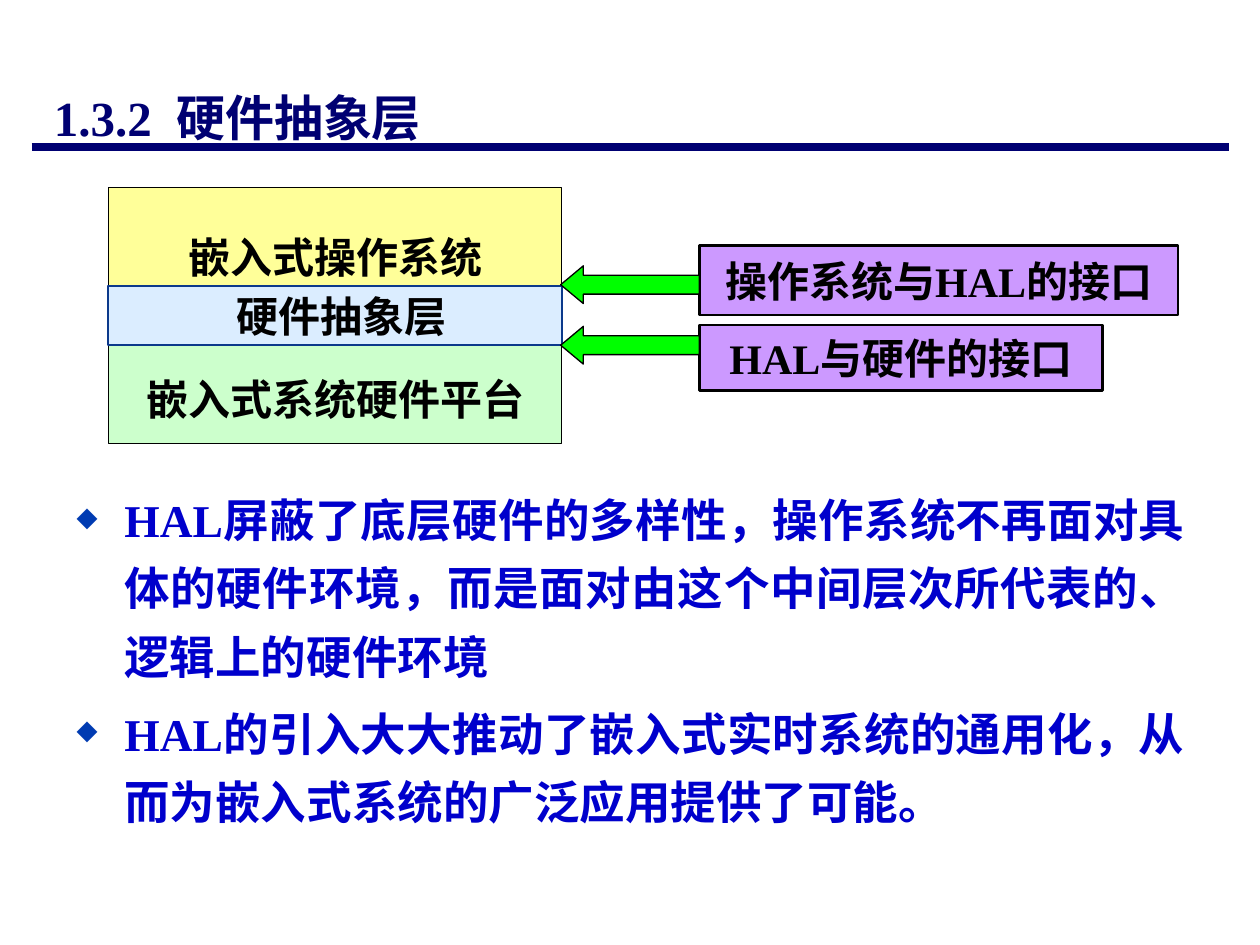
from dataclasses import dataclass

from lxml.etree import SubElement
from pptx import Presentation
from pptx.dml.color import RGBColor
from pptx.enum.shapes import MSO_CONNECTOR, MSO_SHAPE
from pptx.enum.text import MSO_ANCHOR, PP_ALIGN
from pptx.oxml.ns import qn
from pptx.util import Inches, Pt


@dataclass(frozen=True)
class Theme:
    font: str = "Times New Roman"
    title_size: int = 28
    body_size: int = 26
    label_size: int = 24
    navy: str = "000072"
    body: str = "0000CC"
    bullet: str = "003BB2"
    black: str = "000000"
    system: str = "FFFF99"
    abstraction: str = "DBEDFF"
    abstraction_line: str = "0B398B"
    hardware: str = "CCFFCC"
    interface: str = "CC99FF"
    arrow: str = "00FF00"


THEME = Theme()
CELL = Inches(0.1)
COLUMNS, ROWS = 100, 75
STACK_LEFT, STACK_WIDTH = 8.6, 36
ARROW_LEFT, ARROW_WIDTH, ARROW_HEIGHT = 44.5, 11, 3
INTERFACE_LEFT = ARROW_LEFT + ARROW_WIDTH


def grid(*cells):
    return [int(cell * CELL) for cell in cells]


def color(value):
    return RGBColor.from_string(value)


def add_run(paragraph, text, size, tone):
    run = paragraph.add_run()
    run.text = text
    run.font.name = THEME.font
    run.font.size = Pt(size)
    run.font.bold = True
    run.font.color.rgb = color(tone)


def add_figure(slide, kind, area, fill, line=THEME.black, weight=0.75):
    shape = slide.shapes.add_shape(kind, *grid(*area))
    shape.shadow.inherit = False
    shape.fill.solid()
    shape.fill.fore_color.rgb = color(fill)
    shape.line.color.rgb = color(line)
    shape.line.width = Pt(weight)
    return shape


def add_box(slide, area, text, fill, line=THEME.black, weight=0.75, left=0, top=0):
    shape = add_figure(slide, MSO_SHAPE.RECTANGLE, area, fill, line, weight)
    frame = shape.text_frame
    frame.margin_left, frame.margin_top = grid(left, top)
    frame.margin_right = frame.margin_bottom = 0
    frame.vertical_anchor = MSO_ANCHOR.MIDDLE
    paragraph = frame.paragraphs[0]
    paragraph.alignment = PP_ALIGN.CENTER
    add_run(paragraph, text, THEME.label_size, THEME.black)


def add_arrow(slide, middle):
    area = (ARROW_LEFT, middle - ARROW_HEIGHT / 2, ARROW_WIDTH, ARROW_HEIGHT)
    arrow = add_figure(slide, MSO_SHAPE.LEFT_ARROW, area, THEME.arrow)
    arrow.adjustments[0] = 0.5
    arrow.adjustments[1] = 0.6


def add_text_frame(slide, area):
    frame = slide.shapes.add_textbox(*grid(*area)).text_frame
    frame.word_wrap = True
    return frame


def add_title(slide, text):
    frame = add_text_frame(slide, (3.3, 4.7, 78.3, 9.2))
    frame.vertical_anchor = MSO_ANCHOR.MIDDLE
    add_run(frame.paragraphs[0], text, THEME.title_size, THEME.navy)


def add_title_rule(slide):
    ends = grid(2.5, 11.7, COLUMNS - 2.5, 11.7)
    rule = slide.shapes.add_connector(MSO_CONNECTOR.STRAIGHT, *ends)
    rule.line.color.rgb = color(THEME.navy)
    rule.line.width = Pt(4.5)
    SubElement(rule.element.spPr, qn("a:effectLst"))


def set_bullet(paragraph):
    properties = paragraph._p.get_or_add_pPr()
    indent = grid(3.8)[0]
    properties.set("marL", str(indent))
    properties.set("indent", str(-indent))
    tone = SubElement(properties, qn("a:buClr"))
    SubElement(tone, qn("a:srgbClr"), val=THEME.bullet)
    SubElement(properties, qn("a:buSzPct"), val="60000")
    SubElement(properties, qn("a:buChar"), char="◆")


def add_bullets(slide, texts):
    frame = add_text_frame(slide, (5.1, 37.5, 90, 29.7))
    for index, text in enumerate(texts):
        paragraph = frame.add_paragraph() if index else frame.paragraphs[0]
        set_bullet(paragraph)
        paragraph.alignment = PP_ALIGN.JUSTIFY
        paragraph.line_spacing = 1.25
        paragraph.space_before = Pt(5 if index else 0)
        add_run(paragraph, text, THEME.body_size, THEME.body)


def add_layers(slide):
    add_box(slide, (STACK_LEFT, 25, STACK_WIDTH, 10.2), "嵌入式系统硬件平台",
            THEME.hardware, top=3)
    add_box(slide, (STACK_LEFT, 14.9, STACK_WIDTH, 10.9), "嵌入式操作系统",
            THEME.system)
    add_box(slide, (STACK_LEFT, 22.7, STACK_WIDTH, 4.7), "硬件抽象层",
            THEME.abstraction, THEME.abstraction_line, 1.25, left=1)


def add_interfaces(slide):
    interfaces = [
        (19.5, 38, 5.5, "操作系统与HAL的接口", 22.6),
        (25.8, 32, 5.2, "HAL与硬件的接口", 27.4),
    ]
    for top, width, height, text, arrow_middle in interfaces:
        add_box(slide, (INTERFACE_LEFT, top, width, height), text,
                THEME.interface, weight=1.5)
        add_arrow(slide, arrow_middle)


def main():
    presentation = Presentation()
    presentation.slide_width, presentation.slide_height = grid(COLUMNS, ROWS)
    slide = presentation.slides.add_slide(presentation.slide_layouts[6])
    add_title_rule(slide)
    add_bullets(slide, [
        "HAL屏蔽了底层硬件的多样性，操作系统不再面对具体的硬件环境，"
        "而是面对由这个中间层次所代表的、逻辑上的硬件环境",
        "HAL的引入大大推动了嵌入式实时系统的通用化，"
        "从而为嵌入式系统的广泛应用提供了可能。",
    ])
    add_layers(slide)
    add_interfaces(slide)
    add_title(slide, "1.3.2  硬件抽象层")
    presentation.save("out.pptx")


if __name__ == "__main__":
    main()
